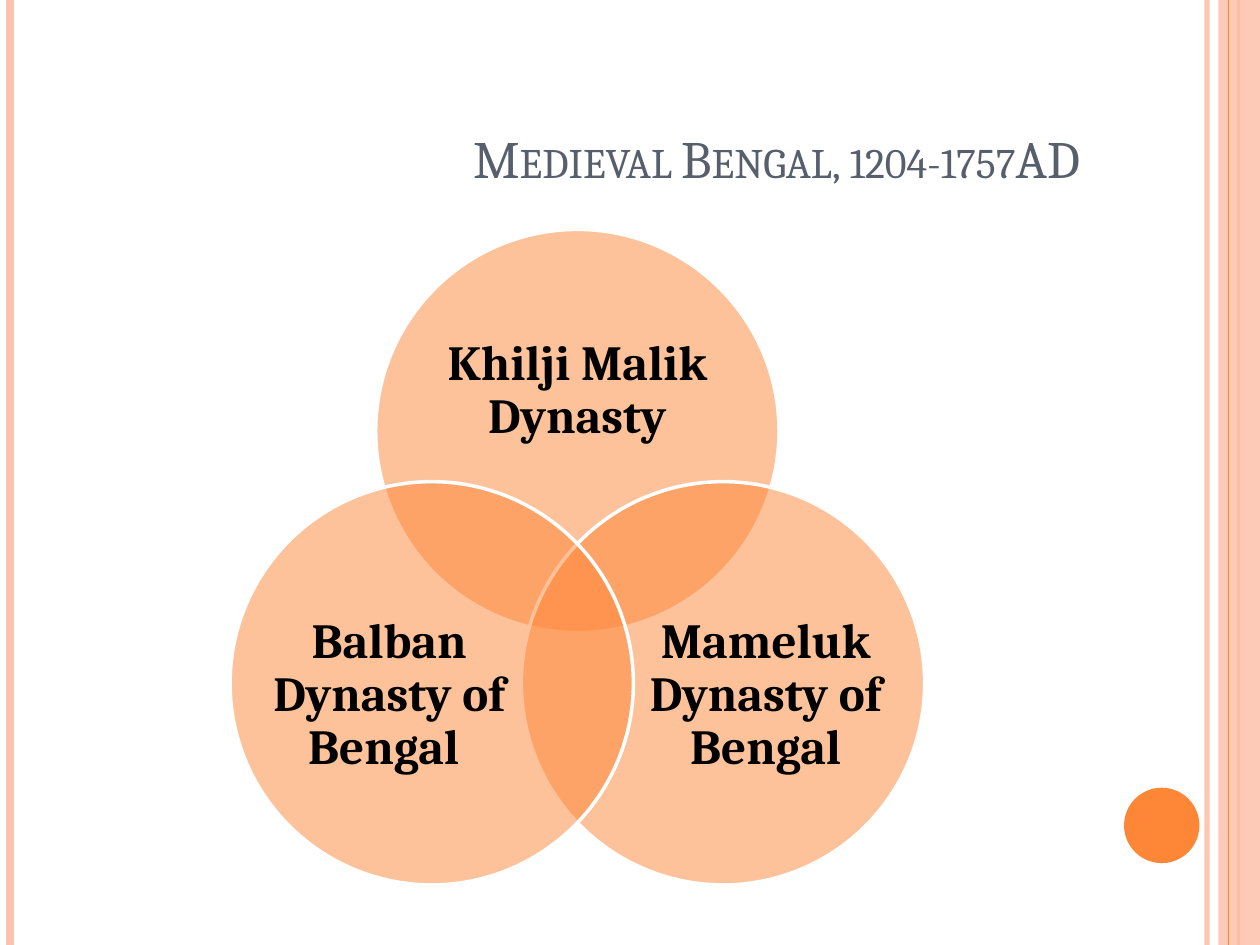
from math import cos, radians, sin

from lxml.etree import SubElement
from pptx import Presentation
from pptx.dml.color import RGBColor
from pptx.enum.shapes import MSO_CONNECTOR as Connector, MSO_SHAPE as Shape
from pptx.enum.text import MSO_ANCHOR as Anchor, PP_ALIGN as Align
from pptx.oxml.ns import qn
from pptx.util import Cm, Pt

ORANGE, PEACH, WHITE, SLATE, BLACK = "FE8637", "FEC3AE", "FFFFFF", "575F6D", "000000"
FONT = "Cambria"
WIDTH, HEIGHT = 25.4, 19.05

TITLE = "Medieval Bengal, 1204-1757AD"

# Text, angle around the diagram's centre, label offset from circle centre, label size
DYNASTIES = [
    ("Khilji Malik Dynasty", -90, (0, -0.81), (5.97, 3.66)),
    ("Mameluk Dynasty of Bengal", 30, (0.86, 0.25), (4.88, 4.47)),
    ("Balban Dynasty of Bengal ", 150, (-0.86, 0.25), (4.88, 4.47)),
]
VENN_CENTRE = (11.64, 12.08)
VENN_RADIUS = 3.39
CIRCLE_SIZE = 8.13

# x, colour, points, opacity in percent
RULES_BEHIND_BAND = [(24.33, PEACH, 3, 93), (0.2, PEACH, 4.5, 100), (24.97, ORANGE, 1.5, 100)]
RULE_ON_BAND = (24.77, ORANGE, 0.75, 100)
BAND = (24.56, 0, 0.84, HEIGHT)
DOT = (22.66, 15.88, 1.52, 1.52)


def rgb(colour):
    return RGBColor.from_string(colour)


def paint(fill, parent, colour, opacity=100):
    """Give a fill a solid colour; parent is the XML element that holds it."""
    fill.solid()
    fill.fore_color.rgb = rgb(colour)
    if opacity < 100:
        tint = parent.find(qn("a:solidFill")).find(qn("a:srgbClr"))
        SubElement(tint, qn("a:alpha")).set("val", str(opacity * 1000))


def add_rule(slide, x, colour, points, opacity):
    rule = slide.shapes.add_connector(Connector.STRAIGHT, Cm(x), 0, Cm(x), Cm(HEIGHT))
    rule.line.width = Pt(points)
    properties = rule._element.spPr
    paint(rule.line.fill, properties.find(qn("a:ln")), colour, opacity)
    SubElement(properties, qn("a:effectLst"))


def add_filled(slide, kind, box, colour, opacity=100, outline=None):
    shape = slide.shapes.add_shape(kind, *map(Cm, box))
    shape.shadow.inherit = False
    paint(shape.fill, shape._element.spPr, colour, opacity)
    if outline:
        shape.line.color.rgb = rgb(outline)
        shape.line.width = Pt(2)
    else:
        shape.line.fill.background()


def add_text(slide, text, box, size, colour, align, anchor):
    """Add a one-paragraph text box and return its frame and paragraph."""
    frame = slide.shapes.add_textbox(*map(Cm, box)).text_frame
    frame.word_wrap = True
    frame.vertical_anchor = anchor
    paragraph = frame.paragraphs[0]
    paragraph.text = text
    paragraph.alignment = align
    font = paragraph.font
    font.name, font.size, font.color.rgb = FONT, Pt(size), rgb(colour)
    return frame, paragraph


def centred_box(x, y, width, height):
    return x - width / 2, y - height / 2, width, height


def add_dynasty(slide, text, angle, offset, label_size):
    x = VENN_CENTRE[0] + VENN_RADIUS * cos(radians(angle))
    y = VENN_CENTRE[1] + VENN_RADIUS * sin(radians(angle))
    circle = centred_box(x, y, CIRCLE_SIZE, CIRCLE_SIZE)
    add_filled(slide, Shape.OVAL, circle, ORANGE, 50, WHITE)

    label = centred_box(x + offset[0], y + offset[1], *label_size)
    frame, paragraph = add_text(slide, text, label, 28, BLACK, Align.CENTER, Anchor.MIDDLE)
    frame.margin_left = frame.margin_right = frame.margin_top = frame.margin_bottom = 0
    paragraph.line_spacing = 0.9
    paragraph.font.bold = True


def main():
    deck = Presentation()
    deck.slide_width, deck.slide_height = Cm(WIDTH), Cm(HEIGHT)
    slide = deck.slides.add_slide(deck.slide_layouts[6])

    for rule in RULES_BEHIND_BAND:
        add_rule(slide, *rule)
    add_filled(slide, Shape.RECTANGLE, BAND, PEACH, 87)
    add_rule(slide, *RULE_ON_BAND)
    add_filled(slide, Shape.OVAL, DOT, ORANGE)

    title_box = (1.27, 0.76, 20.75, 3.18)
    _, title = add_text(slide, TITLE, title_box, 30, SLATE, Align.RIGHT, Anchor.BOTTOM)
    title._p.pPr.find(qn("a:defRPr")).set("cap", "small")

    for dynasty in DYNASTIES:
        add_dynasty(slide, *dynasty)
    deck.save("out.pptx")


if __name__ == "__main__":
    main()
